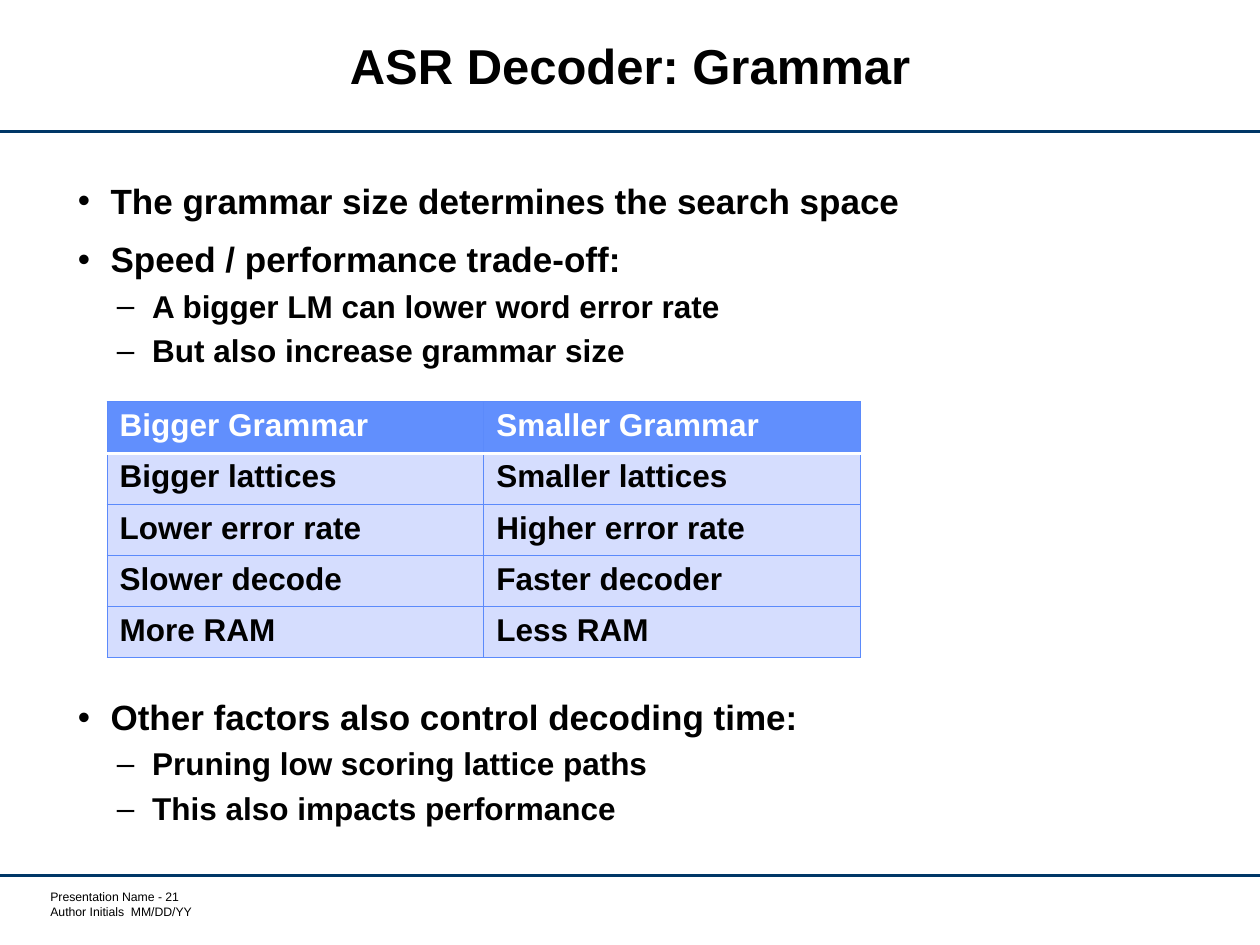
"""Build the ASR decoder grammar slide with bullets and a comparison table."""
from dataclasses import dataclass
from typing import NamedTuple

from lxml.etree import SubElement
from pptx import Presentation
from pptx.dml.color import RGBColor as Color
from pptx.enum.shapes import MSO_CONNECTOR as Connector
from pptx.enum.text import MSO_ANCHOR as Anchor, PP_ALIGN as Align
from pptx.oxml.ns import qn
from pptx.util import Emu, Inches, Pt


@dataclass(frozen=True)
class Theme:
    """Colours, font and type sizes of the slide."""
    font: str = "Arial"
    ink: str = "000000"
    paper: str = "FFFFFF"
    rule: str = "003767"
    header: str = "618FFD"
    cell: str = "D5DDFE"
    border: str = "5B8AFB"
    title: int = 28
    bullet: int = 20
    detail: int = 18
    footer: int = 7


class Area(NamedTuple):
    """A rectangle in percent of the slide's width and height."""
    left: float
    top: float
    width: float
    height: float


class Level(NamedTuple):
    """The look of one bullet level, with indents in inches."""
    mark: str
    size: int
    margin: float
    hanging: float
    before: int


class Point(NamedTuple):
    """One bullet, with extra space before it in points."""
    level: Level
    text: str
    gap: int = 0


class Border(NamedTuple):
    """A cell border."""
    color: str
    width: float


THEME = Theme()
WIDTH, HEIGHT = Inches(10), Inches(7.5)
TITLE = Area(10.3, 1.47, 79.4, 11.87)
BODY = Area(5.2, 18.8, 89.6, 70.4)
TABLE = Area(8.5, 42.53, 59.8, 27.07)
FOOTER = Area(3.5, 94.13, 11.9, 3.2)
RULES = (13.87, 92.67)

MAIN = Level("•", THEME.bullet, 0.26, 0.26, 12)
SUB = Level("–", THEME.detail, 0.59, 0.28, 6)
TABLE_GAP = 177
POINTS = (
    Point(MAIN, "The grammar size determines the search space"),
    Point(MAIN, "Speed / performance trade-off:"),
    Point(SUB, "A bigger LM can lower word error rate"),
    Point(SUB, "But also increase grammar size"),
    Point(MAIN, "Other factors also control decoding time:", TABLE_GAP),
    Point(SUB, "Pruning low scoring lattice paths"),
    Point(SUB, "This also impacts performance"),
)
COMPARISON = (
    ("Bigger Grammar", "Smaller Grammar"),
    ("Bigger lattices", "Smaller lattices"),
    ("Lower error rate", "Higher error rate"),
    ("Slower decode", "Faster decoder"),
    ("More RAM", "Less RAM"),
)
FOOTER_LINES = ("Presentation Name - 21", "Author Initials  MM/DD/YY")


def across(percent: float) -> Emu:
    """Return a share of the slide's width."""
    return Emu(round(WIDTH * percent / 100))


def down(percent: float) -> Emu:
    """Return a share of the slide's height."""
    return Emu(round(HEIGHT * percent / 100))


def place(area: Area) -> tuple[Emu, Emu, Emu, Emu]:
    """Return an area as left, top, width and height."""
    return across(area.left), down(area.top), across(area.width), down(area.height)


def add_span(para, text: str, size: int, bold: bool = True, color: str = THEME.ink) -> None:
    """Add one formatted run to a paragraph."""
    span = para.add_run()
    span.text = text
    span.font.name = THEME.font
    span.font.size = Pt(size)
    span.font.bold = bold
    span.font.color.rgb = Color.from_string(color)


def add_frame(page, area: Area):
    """Add a wrapping text box and return its text frame."""
    frame = page.shapes.add_textbox(*place(area)).text_frame
    frame.word_wrap = True
    return frame


def next_para(frame, index: int):
    """Return the first paragraph of a frame, or a new one after it."""
    return frame.add_paragraph() if index else frame.paragraphs[0]


def add_rule(page, top: float) -> None:
    """Draw a line over the full width of the slide."""
    line = page.shapes.add_connector(Connector.STRAIGHT, 0, down(top), WIDTH, down(top))
    line.line.color.rgb = Color.from_string(THEME.rule)
    line.line.width = Pt(1.75)
    SubElement(line._element.spPr, qn("a:effectLst"))


def add_title(page, text: str) -> None:
    """Add the centred slide title."""
    frame = add_frame(page, TITLE)
    frame.vertical_anchor = Anchor.MIDDLE
    para = frame.paragraphs[0]
    para.alignment = Align.CENTER
    para.line_spacing = Pt(THEME.title)
    add_span(para, text, THEME.title)


def add_points(page, points: tuple[Point, ...]) -> None:
    """Add the bullets that run above and below the table."""
    frame = add_frame(page, BODY)
    for index, (level, text, gap) in enumerate(points):
        para = next_para(frame, index)
        para.line_spacing = 0.9
        para.space_before = Pt(level.before + gap)
        props = para._p.get_or_add_pPr()
        props.set("marL", str(Inches(level.margin)))
        props.set("indent", str(-Inches(level.hanging)))
        SubElement(props, qn("a:buFont"), typeface=THEME.font)
        SubElement(props, qn("a:buChar"), char=level.mark)
        add_span(para, text, level.size)


def set_border(cell, side: str, border: Border) -> None:
    """Draw one side (L, R, T or B) of a table cell."""
    line = SubElement(cell._tc.get_or_add_tcPr(), qn(f"a:ln{side}"), w=str(Pt(border.width)))
    fill = SubElement(line, qn("a:solidFill"))
    SubElement(fill, qn("a:srgbClr"), val=border.color)


def add_table(page, rows: tuple[tuple[str, ...], ...]) -> None:
    """Add the comparison table with its header row."""
    table = page.shapes.add_table(len(rows), len(rows[0]), *place(TABLE)).table
    thin, thick = Border(THEME.border, 0.75), Border(THEME.paper, 2)
    for row, texts in enumerate(rows):
        header = row == 0
        sides = {"L": thin, "R": thin, "T": thick if row == 1 else thin,
                 "B": thick if header else thin}
        for column, text in enumerate(texts):
            cell = table.cell(row, column)
            for side, border in sides.items():
                set_border(cell, side, border)
            cell.fill.solid()
            cell.fill.fore_color.rgb = Color.from_string(THEME.header if header else THEME.cell)
            add_span(cell.text_frame.paragraphs[0], text, THEME.detail,
                     color=THEME.paper if header else THEME.ink)


def add_footer(page, lines: tuple[str, ...]) -> None:
    """Add the small footer lines."""
    frame = add_frame(page, FOOTER)
    frame.margin_left = Inches(0.05)
    frame.margin_right = frame.margin_top = frame.margin_bottom = 0
    for index, text in enumerate(lines):
        add_span(next_para(frame, index), text, THEME.footer, bold=False)


def main() -> None:
    """Build and save the deck."""
    deck = Presentation()
    deck.slide_width, deck.slide_height = WIDTH, HEIGHT
    page = deck.slides.add_slide(deck.slide_layouts[6])
    for top in RULES:
        add_rule(page, top)
    add_footer(page, FOOTER_LINES)
    add_points(page, POINTS)
    add_title(page, "ASR Decoder: Grammar")
    add_table(page, COMPARISON)
    deck.save("out.pptx")


if __name__ == "__main__":
    main()
